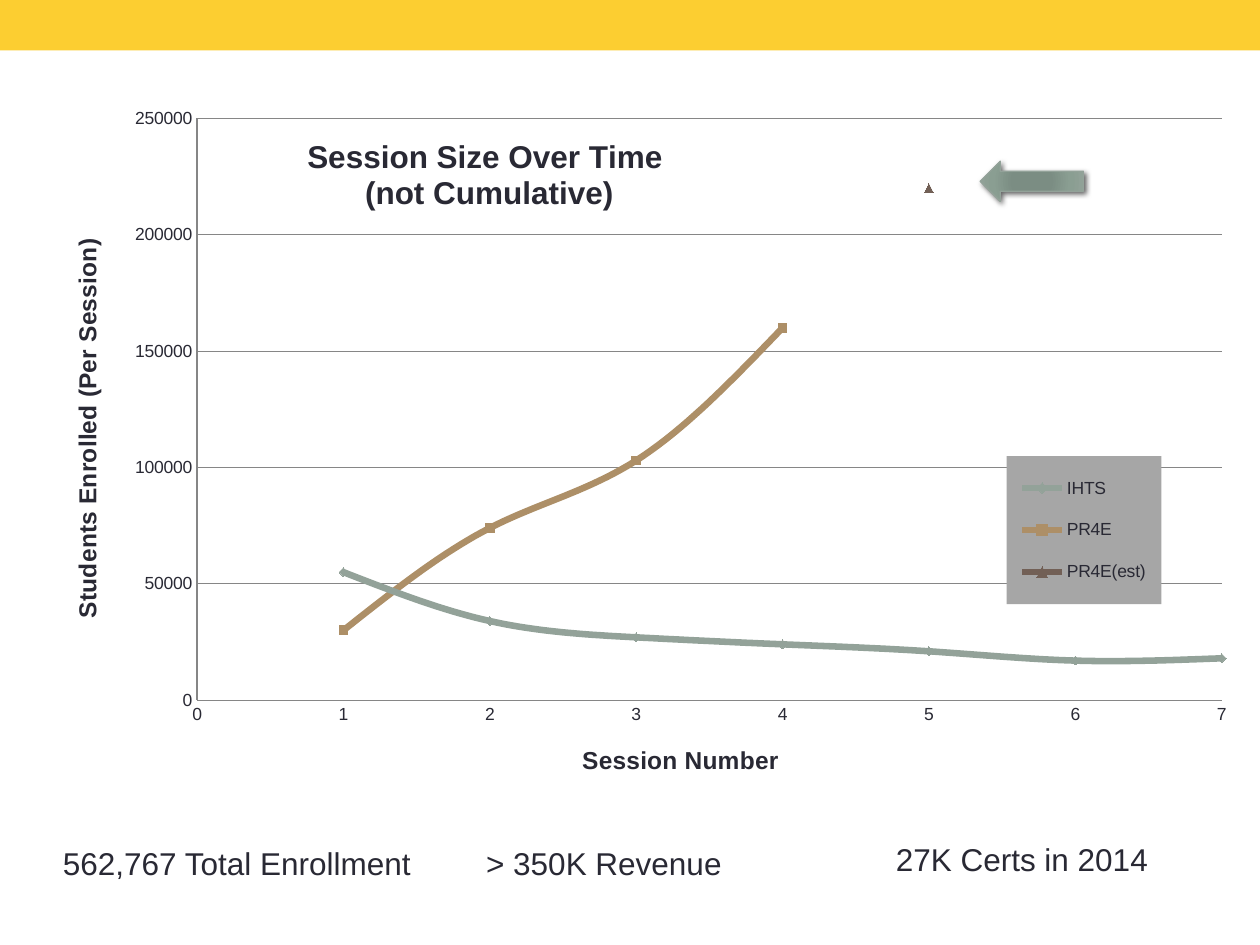
from pptx import Presentation
from pptx.chart.data import XyChartData
from pptx.dml.color import RGBColor
from pptx.enum.chart import (XL_CHART_TYPE, XL_LEGEND_POSITION,
                             XL_MARKER_STYLE, XL_TICK_MARK)
from pptx.enum.shapes import MSO_SHAPE
from pptx.enum.text import MSO_AUTO_SIZE
from pptx.oxml import parse_xml
from pptx.oxml.ns import nsdecls, qn
from pptx.util import Cm, Pt

FONT = "Arial"
INK = RGBColor(0x29, 0x29, 0x34)
YELLOW = RGBColor(0xFC, 0xCE, 0x31)
SAGE = RGBColor(0x93, 0xA2, 0x99)
TAN = RGBColor(0xAD, 0x8F, 0x67)
BROWN = RGBColor(0x72, 0x60, 0x56)
GRID = RGBColor(0x86, 0x86, 0x86)
LEGEND_GREY = RGBColor(0xA6, 0xA6, 0xA6)

# name, students in sessions 1 to 7, colour, marker
SERIES = [
    ("IHTS", [55000, 34000, 27000, 24000, 21000, 17000, 18000],
     SAGE, XL_MARKER_STYLE.DIAMOND),
    ("PR4E", [30000, 74000, 103000, 160000, None, None, None],
     TAN, XL_MARKER_STYLE.SQUARE),
    ("PR4E(est)", [None, None, None, None, 220000, None, None],
     BROWN, XL_MARKER_STYLE.TRIANGLE),
]
FACTS = [
    ("562,767 Total Enrollment", 1.02, 16.89, 7.59),
    ("> 350K Revenue", 9.55, 16.89, 5.31),
    ("27K Certs in 2014", 17.81, 16.81, 5.64),
]
ARROW_STOPS = [(0, "7B8E82"), (34, "7B8D83"), (70, "8A9E92"), (100, "93A299")]


def set_font(font, size, bold=False):
    font.name = FONT
    font.size = Pt(size)
    font.bold = bold
    font.color.rgb = INK


def set_layout(element, after=None, inner=False, **percents):
    """Place a chart part by percentages (x, y, w, h) of the chart area."""
    for old in element.findall(qn("c:layout")):
        element.remove(old)
    modes = '<c:layoutTarget val="inner"/>' if inner else ""
    modes += "".join(f'<c:{k}Mode val="edge"/>' for k in "xy")
    values = "".join(f'<c:{k} val="{v / 100:.4f}"/>' for k, v in percents.items())
    layout = parse_xml(f'<c:layout {nsdecls("c")}><c:manualLayout>{modes}{values}'
                       '</c:manualLayout></c:layout>')
    if after:
        element.find(qn(after)).addnext(layout)
    else:
        element.insert(0, layout)


def write_title(title, lines, size, x, y):
    tf = title.text_frame
    for i, line in enumerate(lines):
        p = tf.add_paragraph() if i else tf.paragraphs[0]
        p.text = line
        set_font(p.font, size, bold=True)
    set_layout(title._element, "c:tx", x=x, y=y)
    return tf


def format_axis(axis, maximum):
    axis.minimum_scale = 0
    axis.maximum_scale = maximum
    axis.major_tick_mark = axis.minor_tick_mark = XL_TICK_MARK.NONE
    axis.format.line.color.rgb = GRID
    axis.format.line.width = Pt(0.75)
    set_font(axis.tick_labels.font, 10)


def format_axes(chart):
    sessions, students = chart.category_axis, chart.value_axis
    format_axis(sessions, 7)
    sessions.major_unit = 1
    sessions.has_major_gridlines = False
    write_title(sessions.axis_title, ["Session Number"], 14, 44.9, 91.4)

    format_axis(students, 250000)
    students.major_unit = 50000
    students.has_major_gridlines = True
    students.major_gridlines.format.line.color.rgb = GRID
    students.major_gridlines.format.line.width = Pt(0.75)
    tf = write_title(students.axis_title, ["Students Enrolled (Per Session)"],
                     14, 2.6, 21)
    body = tf._txBody.find(qn("a:bodyPr"))
    body.set("rot", "-5400000")
    body.set("vert", "horz")


def format_series(series, color, marker):
    """Style a smoothed line and leave its missing sessions blank."""
    element = series._element
    element.find(qn("c:smooth")).set("val", "1")
    for pt in list(element.iter(qn("c:pt"))):
        if pt.find(qn("c:v")).text in (None, "", "None"):
            pt.getparent().remove(pt)
    series.format.line.color.rgb = color
    series.format.line.width = Pt(3.75)
    series.marker.style = marker
    series.marker.size = 5
    series.marker.format.fill.solid()
    series.marker.format.fill.fore_color.rgb = color
    series.marker.format.line.color.rgb = color


def format_legend(chart):
    chart.has_legend = True
    legend = chart.legend
    legend.position = XL_LEGEND_POSITION.RIGHT
    legend.include_in_layout = False
    set_font(legend.font, 10)
    element = legend._element
    set_layout(element, "c:legendPos", x=80.4, y=51.9, w=12.8, h=20.6)
    element.find(qn("c:overlay")).addnext(parse_xml(
        f'<c:spPr {nsdecls("c", "a")}><a:solidFill><a:srgbClr val="{LEGEND_GREY}"/>'
        '</a:solidFill></c:spPr>'))


def add_session_chart(slide):
    data = XyChartData()
    for name, values, _, _ in SERIES:
        series = data.add_series(name)
        for session, students in enumerate(values, 1):
            series.add_data_point(session, students)
    chart = slide.shapes.add_chart(
        XL_CHART_TYPE.XY_SCATTER_SMOOTH, Cm(0.71), Cm(1.68), Cm(24.36), Cm(14.48),
        data).chart
    set_font(chart.font, 10)
    chart.has_title = True
    write_title(chart.chart_title, ["Session Size Over Time ", "(not Cumulative)"],
                18, 22.2, 7)
    plot = chart.plots[0]
    plot.vary_by_categories = False
    for series, (_, _, color, marker) in zip(plot.series, SERIES):
        format_series(series, color, marker)
    format_axes(chart)
    format_legend(chart)
    set_layout(chart._chartSpace.chart.plotArea, inner=True,
               x=13.4, y=4.9, w=84.8, h=81)


def add_band(slide, width):
    sp = slide.shapes.add_shape(MSO_SHAPE.RECTANGLE, 0, 0, width, Cm(1.02))
    sp.shadow.inherit = False
    sp.fill.solid()
    sp.fill.fore_color.rgb = YELLOW
    sp.line.fill.background()


def add_fact(slide, text, left, top, width):
    tf = slide.shapes.add_textbox(Cm(left), Cm(top), Cm(width), Cm(1.02)).text_frame
    tf.word_wrap = False
    tf.auto_size = MSO_AUTO_SIZE.SHAPE_TO_FIT_TEXT
    p = tf.paragraphs[0]
    p.text = text
    set_font(p.font, 18)


def add_arrow(slide):
    """Arrow with a radial gradient and a soft shadow, pointing at the estimate."""
    sp = slide.shapes.add_shape(MSO_SHAPE.LEFT_ARROW,
                                Cm(19.76), Cm(3.25), Cm(2.08), Cm(0.81))
    sp.line.color.rgb = SAGE
    sp.line.width = Pt(0.75)
    sp.shadow.inherit = False
    stops = "".join(f'<a:gs pos="{pos * 1000}"><a:srgbClr val="{color}"/></a:gs>'
                    for pos, color in ARROW_STOPS)
    props = sp._element.spPr
    props.find(qn("a:ln")).addprevious(parse_xml(
        f'<a:gradFill {nsdecls("a")}><a:gsLst>{stops}</a:gsLst><a:path path="circle">'
        '<a:fillToRect l="100000" t="100000" r="100000" b="100000"/>'
        '</a:path></a:gradFill>'))
    props.find(qn("a:effectLst")).append(parse_xml(
        f'<a:outerShdw {nsdecls("a")} blurRad="{Pt(3)}" dist="{Pt(2)}" dir="2700000">'
        '<a:srgbClr val="000000"><a:alpha val="60000"/></a:srgbClr></a:outerShdw>'))


def main():
    prs = Presentation()
    prs.slide_width, prs.slide_height = Cm(25.4), Cm(19.05)
    slide = prs.slides.add_slide(prs.slide_layouts[6])
    add_band(slide, prs.slide_width)
    add_session_chart(slide)
    for fact in FACTS:
        add_fact(slide, *fact)
    add_arrow(slide)
    prs.save("out.pptx")


if __name__ == "__main__":
    main()
